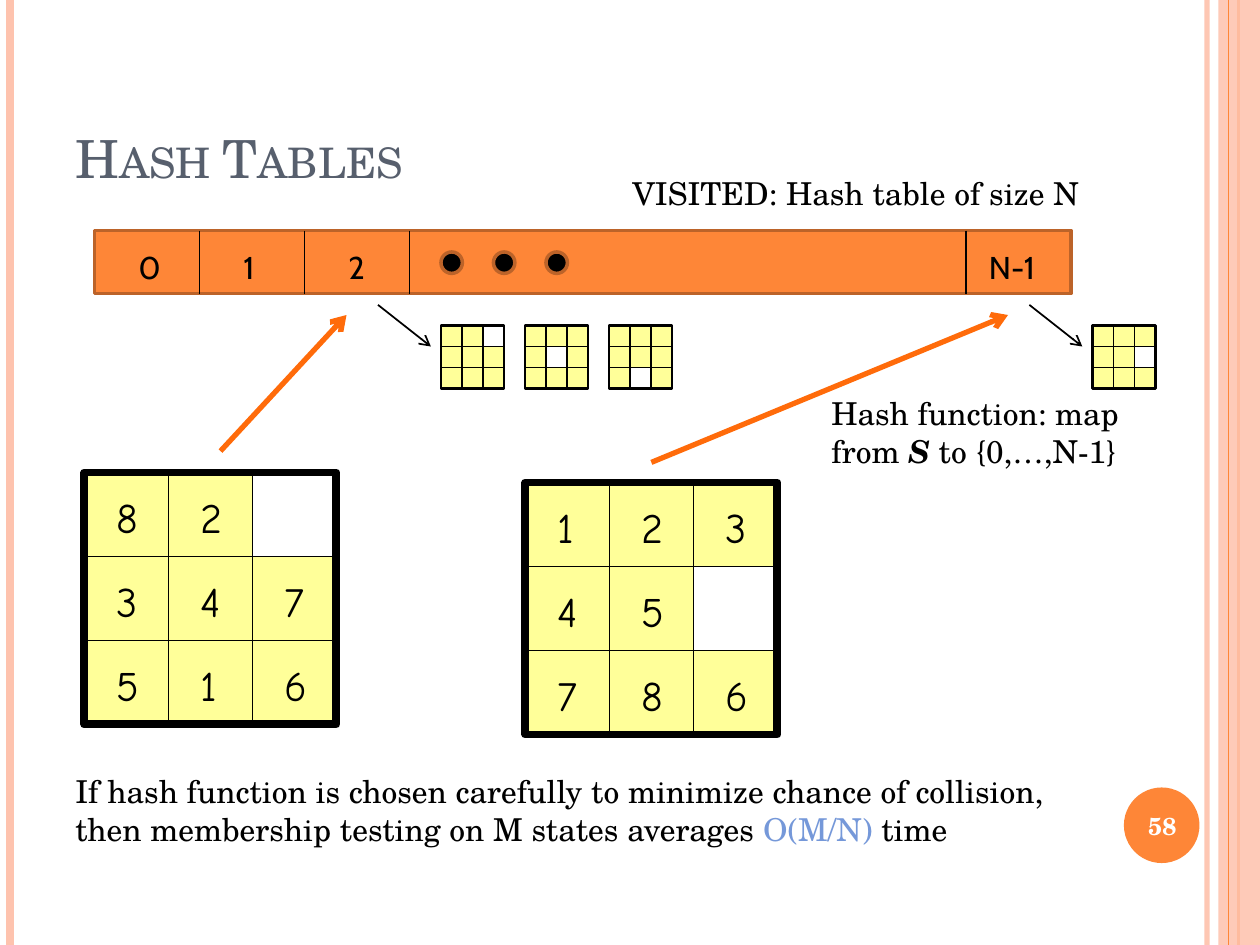
import dataclasses

import pptx
import pptx.dml.color
import pptx.enum.shapes
import pptx.enum.text
import pptx.oxml
import pptx.oxml.ns
import pptx.util

Inches = pptx.util.Inches
Kind = pptx.enum.shapes.MSO_SHAPE
Anchor = pptx.enum.text.MSO_ANCHOR
Align = pptx.enum.text.PP_ALIGN
AutoSize = pptx.enum.text.MSO_AUTO_SIZE


@dataclasses.dataclass(frozen=True)
class Theme:
    """Colours, fonts and type sizes of the slide."""
    black: str = "000000"
    white: str = "FFFFFF"
    title: str = "575F6D"
    orange: str = "FE8637"
    outline: str = "BC6329"
    arrow: str = "FF6B0A"
    pale: str = "FEC3AE"
    tile: str = "FFFF99"
    accent: str = "7598D9"
    serif: str = "TeX Gyre Schola"
    slot_font: str = "Cabin"
    tile_font: str = "Comic Neue"
    title_size: int = 30
    tile_size: int = 24
    body_size: int = 18
    number_size: int = 14


THEME = Theme()


def rgb(color):
    """Turn a hexadecimal string into a colour."""
    return pptx.dml.color.RGBColor.from_string(color)


def add_xml(parent, tag, **attributes):
    """Append an empty drawing element to a parent element."""
    element = pptx.oxml.parse_xml(f"<a:{tag} {pptx.oxml.ns.nsdecls('a')}/>")
    for name, value in attributes.items():
        element.set(name, str(value))
    parent.append(element)


def set_alpha(shape, percent):
    """Make the colour of a shape partly transparent."""
    color = shape._element.spPr.find(".//" + pptx.oxml.ns.qn("a:srgbClr"))
    add_xml(color, "alpha", val=percent * 1000)


def add_box(shapes, box, fill=None, line=None, width=1, kind=Kind.RECTANGLE):
    """Add a preset shape with a plain fill and outline."""
    shape = shapes.add_shape(kind, *map(Inches, box))
    shape.shadow.inherit = False
    if fill:
        shape.fill.solid()
        shape.fill.fore_color.rgb = rgb(fill)
    else:
        shape.fill.background()
    if line:
        shape.line.color.rgb = rgb(line)
        shape.line.width = pptx.util.Pt(width)
    else:
        shape.line.fill.background()
    return shape


def add_line(shapes, start, end, color=THEME.black, width=1, arrow=False):
    """Add a straight line, with an arrowhead at its end if asked."""
    line = shapes.add_connector(
        pptx.enum.shapes.MSO_CONNECTOR.STRAIGHT, *map(Inches, (*start, *end)))
    line.line.color.rgb = rgb(color)
    line.line.width = pptx.util.Pt(width)
    if arrow:
        add_xml(line.line._get_or_add_ln(), "tailEnd", type="arrow")
    add_xml(line._element.spPr, "effectLst")
    return line


def add_text(shapes, box, runs, font=THEME.serif, size=THEME.body_size,
             wrap=True, grow=True, anchor=Anchor.TOP, align=Align.LEFT):
    """Add one paragraph made of (text, format) runs."""
    shape = shapes.add_textbox(*map(Inches, box))
    frame_format = {
        "word_wrap": wrap, "vertical_anchor": anchor,
        "auto_size": AutoSize.SHAPE_TO_FIT_TEXT if grow else AutoSize.NONE}
    for name, value in frame_format.items():
        setattr(shape.text_frame, name, value)
    paragraph = shape.text_frame.paragraphs[0]
    paragraph.alignment = align
    for text, changes in runs:
        run = paragraph.add_run()
        run.text = text
        values = {"name": font, "size": pptx.util.Pt(size), **changes}
        run.font.color.rgb = rgb(values.pop("color", THEME.black))
        for name, value in values.items():
            setattr(run.font, name, value)
    return paragraph


def add_frame(shapes, box):
    """Draw the side bands and the slide number badge."""
    left, top, width, height = box
    right, bottom = left + width, top + height

    def rule(x, color, weight):
        return add_line(shapes, (x, top), (x, bottom), color, weight)

    set_alpha(rule(right - 0.42, THEME.pale, 3), 93)
    rule(left + 0.08, THEME.pale, 4.5)
    rule(right - 0.17, THEME.orange, 1.5)
    set_alpha(add_box(shapes, (right - 0.33, top, 0.33, height), THEME.pale), 87)
    rule(right - 0.25, THEME.orange, 0.75)
    add_box(shapes, (right - 1.08, bottom - 1.25, 0.6, 0.6), THEME.orange,
            kind=Kind.OVAL)
    add_text(shapes, (right - 1.11, bottom - 1.23, 0.67, 0.57),
             [("58", {"color": THEME.white, "bold": True})],
             size=THEME.number_size, grow=False, anchor=Anchor.MIDDLE,
             align=Align.CENTER)


def add_title(shapes, box, text):
    """Write the slide title in small capitals."""
    paragraph = add_text(shapes, box, [(text, {"color": THEME.title})],
                         size=THEME.title_size, grow=False,
                         anchor=Anchor.BOTTOM)
    paragraph.runs[0].font._element.set("cap", "small")


def add_puzzle(shapes, box, tiles, border, labels=True):
    """Draw a three by three puzzle; a space in tiles is the open cell."""
    left, top, side = box
    cell = side / 3
    for index, tile in enumerate(tiles):
        row, column = divmod(index, 3)
        x, y = left + column * cell, top + row * cell
        if tile == " ":
            continue
        add_box(shapes, (x, y, cell, cell), THEME.tile, THEME.black, 0.75)
        if labels:
            add_text(shapes, (x + 0.16, y + 0.1, 0.4, 0.5), [(tile, {})],
                     THEME.tile_font, THEME.tile_size, wrap=False)
    add_box(shapes, (left, top, side, side), None, THEME.black, border)


def add_state(shapes, box, tiles, arrow_start, arrow_end):
    """Draw a numbered puzzle and the arrow to its hash slot."""
    group = shapes.add_group_shape().shapes
    add_puzzle(group, box, tiles, 4.5)
    add_line(group, arrow_start, arrow_end, THEME.arrow, 3, True)


def add_hash_table(shapes, box):
    """Draw the hash table bar with its slots and dots."""
    left, top, width, height = box
    slot = 5 / 6
    add_box(shapes, box, THEME.orange, THEME.outline, 2)
    for x in (slot, 2 * slot, 3 * slot, width - slot):
        add_line(shapes, (left + x, top), (left + x, top + height))
    for index in range(3):
        add_box(shapes, (left + 2.75 + index * 5 / 12, top + 0.17, 0.17, 0.17),
                THEME.black, THEME.outline, 2, Kind.OVAL)
    slots = [(str(i), 0.25 + i * slot, 0.33) for i in range(3)]
    for text, x, label_width in slots + [("N-1", width - 0.75, 0.67)]:
        add_text(shapes, (left + x, top + 0.09, label_width, 0.4),
                 [(text, {})], THEME.slot_font)


def add_chain(shapes, box, open_cells):
    """Draw the arrow and the small puzzles stored in one slot."""
    left, top = box
    group = shapes.add_group_shape().shapes
    add_line(group, (left, top), (left + 0.42, top + 0.33), arrow=True)
    for index, open_cell in enumerate(open_cells):
        tiles = ["x"] * 9
        tiles[open_cell] = " "
        add_puzzle(group, (left + 0.5 + index * 2 / 3, top + 0.165, 0.5),
                   tiles, 1.5, False)


def build():
    """Build and save the slide."""
    presentation = pptx.Presentation()
    presentation.slide_width, presentation.slide_height = Inches(10), Inches(7.5)
    slide = presentation.slides.add_slide(presentation.slide_layouts[6])
    shapes = slide.shapes
    add_frame(shapes, (0, 0, 10, 7.5))
    add_title(shapes, (0.5, 0.3, 8.17, 1.25), "Hash Tables")
    add_state(shapes, (0.67, 3.75, 2), "82 347516", (1.75, 3.58), (2.75, 2.5))
    add_state(shapes, (4.17, 3.83, 2), "12345 786", (5.17, 3.67), (8, 2.5))
    add_hash_table(shapes, (0.75, 1.83, 7.75, 0.5))
    add_text(shapes, (4.92, 1.33, 4.5, 0.4),
             [("VISITED: Hash table of size N", {})])
    add_text(shapes, (6.5, 3.08, 3.08, 0.71),
             [("Hash function: map from ", {}),
              ("S", {"bold": True, "italic": True}),
              (" to {0,…,N-1}", {})])
    add_text(shapes, (0.5, 6.08, 8.08, 0.71),
             [("If hash function is chosen carefully to minimize chance of "
               "collision, then membership testing on M states averages ", {}),
              ("O(M/N)", {"color": THEME.accent}), (" time", {})])
    add_chain(shapes, (3, 2.42), (2, 4, 7))
    add_chain(shapes, (8.17, 2.42), (5,))
    presentation.save("out.pptx")


build()
